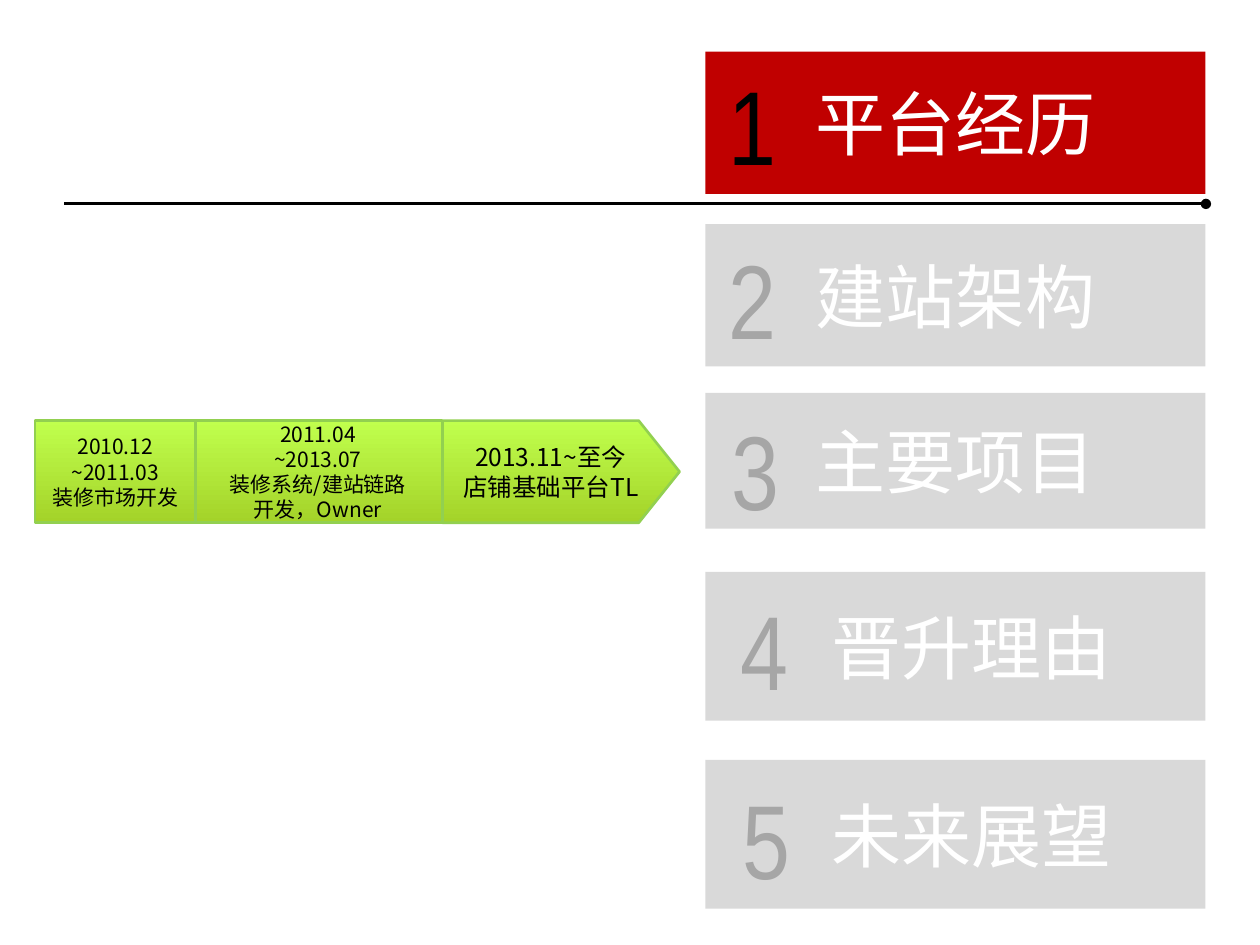
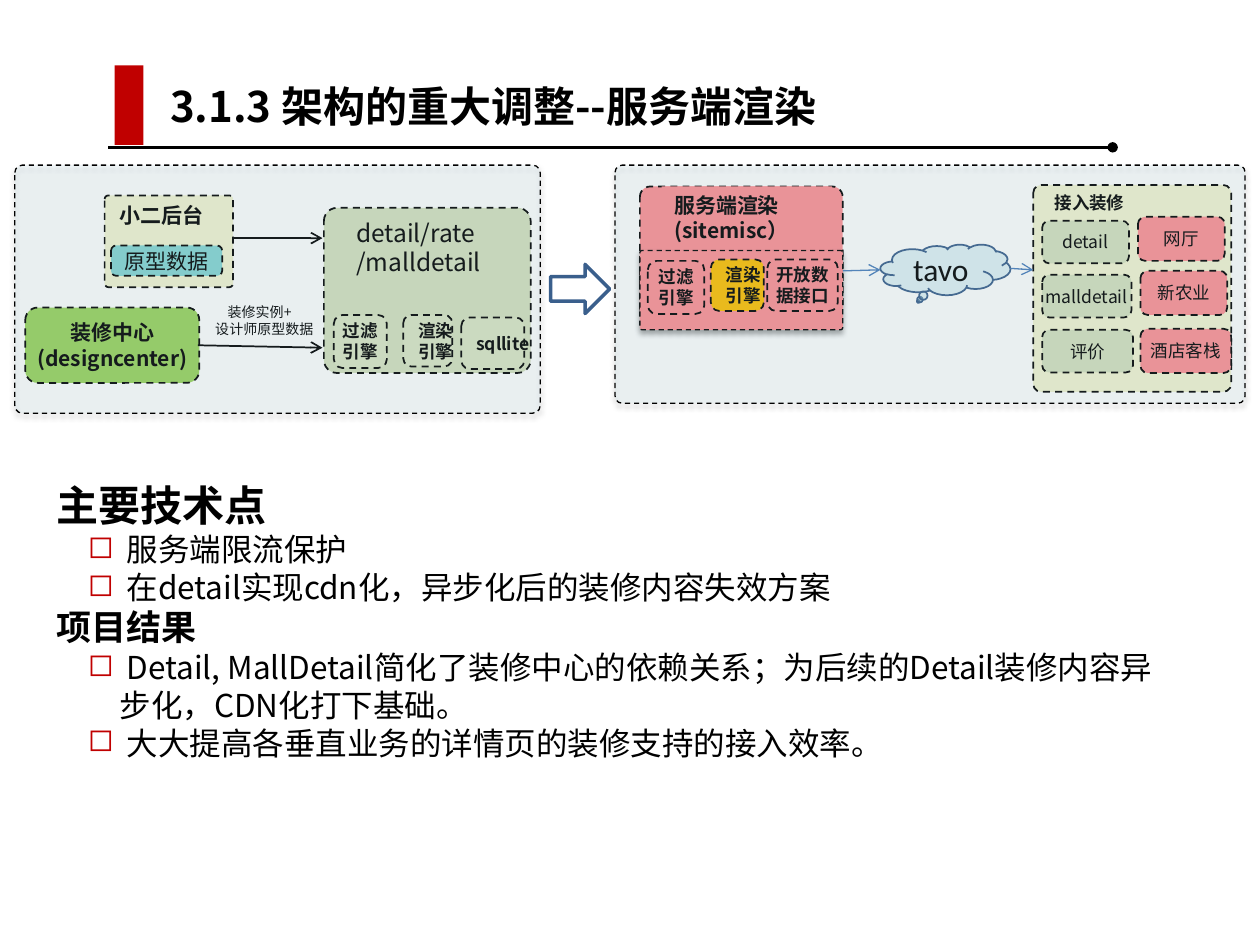
"""Build a career menu slide and a server-side rendering architecture slide."""
from dataclasses import dataclass
from typing import NamedTuple, Optional

from lxml.etree import SubElement as Sub
from pptx import Presentation
from pptx.dml.color import RGBColor
from pptx.enum.dml import MSO_LINE_DASH_STYLE as Dash
from pptx.enum.shapes import MSO_CONNECTOR as Link, MSO_SHAPE as Form
from pptx.enum.text import MSO_ANCHOR as Anchor, PP_ALIGN as Align
from pptx.oxml.ns import qn
from pptx.util import Cm, Pt

BLACK = RGBColor(0x00, 0x00, 0x00)
WHITE = RGBColor(0xFF, 0xFF, 0xFF)
RED = RGBColor(0xC0, 0x00, 0x00)
GREY = RGBColor(0xD9, 0xD9, 0xD9)
DIM = RGBColor(0xA6, 0xA6, 0xA6)
LIME = RGBColor(0xC0, 0xFF, 0x4D)
OLIVE = RGBColor(0xA4, 0xD3, 0x29)
LEAF = RGBColor(0x92, 0xD0, 0x50)
GREEN = RGBColor(0x9B, 0xD4, 0x5E)
SAGE = RGBColor(0xD6, 0xE1, 0xBF)
MOSS = RGBColor(0xDC, 0xE6, 0xC5)
CREAM = RGBColor(0xF4, 0xF5, 0xD2)
TEAL = RGBColor(0x86, 0xD6, 0xD3)
PINK = RGBColor(0xFF, 0x91, 0x96)
GOLD = RGBColor(0xFF, 0xC0, 0x00)
ICE = RGBColor(0xA6, 0xD6, 0xE2)
NAVY = RGBColor(0x3A, 0x5F, 0x8C)
BLUE = RGBColor(0x4B, 0x7E, 0xBC)

NOTO = "Noto Sans CJK SC"
CALI = "Calibri"
SLIM = "Arial Narrow"


class Type(NamedTuple):
    size: float
    bold: bool = False
    color: RGBColor = BLACK
    font: str = NOTO
    align: Align = Align.CENTER
    anchor: Anchor = Anchor.MIDDLE
    wrap: bool = True


class Look(NamedTuple):
    fill: Optional[RGBColor] = None
    line: Optional[RGBColor] = None
    width: float = 1
    dash: bool = False
    alpha: int = 100
    glow: bool = False
    fade: Optional[RGBColor] = None


@dataclass(frozen=True)
class Box:
    x: float
    y: float
    w: float
    h: float
    look: Optional[Look] = None
    text: str = ""
    type: Optional[Type] = None
    form: Form = Form.ROUNDED_RECTANGLE
    bend: Optional[float] = None
    inset: float = 0.25


@dataclass(frozen=True)
class Wire:
    x: float
    y: float
    to_x: float
    to_y: float
    color: RGBColor = BLACK
    width: float = 1
    tip: str = "arrow"


@dataclass(frozen=True)
class Item:
    text: str
    y: float
    h: float
    num_x: float
    num_y: float
    inset: float = 0.25


@dataclass(frozen=True)
class Point:
    text: str
    size: float
    head: bool = False


def apply(target, values: dict) -> None:
    """Set every named value on the target."""
    for name, value in values.items():
        setattr(target, name, value)


def add_line(para, text: str, kind: Type) -> None:
    """Put one formatted run into a paragraph."""
    para.alignment = kind.align
    if kind.font == NOTO:
        para.line_spacing = Pt(round(kind.size * 1.2, 1))
    run = para.add_run()
    run.text = text
    apply(run.font, dict(name=kind.font, size=Pt(kind.size), bold=kind.bold))
    run.font.color.rgb = kind.color
    Sub(run.font._element, qn("a:ea"), typeface=NOTO)


def write(shape, text: str, kind: Type, inset: float = 0.25) -> None:
    """Fill a text frame, one paragraph for each line."""
    frame = shape.text_frame
    apply(frame, dict(word_wrap=kind.wrap, vertical_anchor=kind.anchor,
                      margin_left=Cm(inset)))
    for i, line in enumerate(text.split("\n")):
        add_line(frame.add_paragraph() if i else frame.paragraphs[0], line, kind)


def paint(shape, look: Look) -> None:
    """Give a shape its fill, outline and shadow."""
    shape.shadow.inherit = False
    props = shape.element.spPr
    if look.fade:
        shape.fill.gradient()
        shape.fill.gradient_angle = 270
        for stop, color in zip(shape.fill.gradient_stops, (look.fill, look.fade)):
            stop.color.rgb = color
    elif look.fill:
        shape.fill.solid()
        shape.fill.fore_color.rgb = look.fill
        if look.alpha < 100:
            Sub(props.find(qn("a:solidFill"))[0], qn("a:alpha"), val=str(look.alpha * 1000))
    else:
        shape.fill.background()
    if look.line:
        shape.line.color.rgb = look.line
        shape.line.width = Pt(look.width)
        if look.dash:
            shape.line.dash_style = Dash.DASH
    else:
        shape.line.fill.background()
    if look.glow:
        shade = Sub(props.find(qn("a:effectLst")), qn("a:outerShdw"), blurRad="40000",
                    dist="23000", dir="5400000", rotWithShape="0")
        Sub(Sub(shade, qn("a:srgbClr"), val=str(BLACK)), qn("a:alpha"), val="35000")


def draw(slide, box: Box):
    """Draw a box, as a plain text box when it has no look."""
    area = [Cm(v) for v in (box.x, box.y, box.w, box.h)]
    if box.look:
        shape = slide.shapes.add_shape(box.form, *area)
        paint(shape, box.look)
        if box.bend is not None:
            shape.adjustments[0] = box.bend
    else:
        shape = slide.shapes.add_textbox(*area)
    if box.text:
        write(shape, box.text, box.type, box.inset)
    return shape


def join(slide, wire: Wire) -> None:
    """Draw a straight line with an end mark."""
    ends = [Cm(v) for v in (wire.x, wire.y, wire.to_x, wire.to_y)]
    line = slide.shapes.add_connector(Link.STRAIGHT, *ends)
    line.line.color.rgb = wire.color
    line.line.width = Pt(wire.width)
    props = line.element.spPr
    Sub(props.find(qn("a:ln")), qn("a:tailEnd"), type=wire.tip)
    Sub(props, qn("a:effectLst"))


def rule(slide, x: float, y: float, to_x: float) -> None:
    """Draw the black rule that ends in a dot."""
    join(slide, Wire(x, y, to_x, y, width=1.75, tip="oval"))


def menu(slide) -> None:
    """Draw the numbered menu with its first entry active."""
    items = (
        Item("平台经历", 1.04, 2.87, 14.43, 1.09),
        Item("建站架构", 4.52, 2.87, 14.43, 4.6),
        Item("主要项目", 7.92, 2.74, 14.5, 8.05),
        Item("晋升理由", 11.53, 3, 14.68, 11.68, 0.9),
        Item("未来展望", 15.32, 3, 14.71, 15.49, 0.9),
    )
    label = Type(40, color=WHITE, font=CALI)
    for i, item in enumerate(items, 1):
        digit = Type(60, False, BLACK if i == 1 else DIM, SLIM, Align.LEFT, Anchor.TOP)
        draw(slide, Box(14.22, item.y, 10.08, item.h, Look(RED if i == 1 else GREY),
                        item.text, label, Form.RECTANGLE, inset=item.inset))
        draw(slide, Box(item.num_x, item.num_y, 1.73, 2.82, None, str(i), digit))
    rule(slide, 1.3, 4.11, 24.31)


def steps(slide) -> None:
    """Draw the green career band."""
    band = Look(LIME, LEAF, 1.5, fade=OLIVE)
    small, big = Type(12), Type(14)
    for box in (
        Box(3.91, 8.48, 5, 2.06, band, "2011.04\n~2013.07\n装修系统/建站链路\n开发，Owner",
            small, Form.RECTANGLE),
        Box(0.71, 8.48, 3.23, 2.06, band, "2010.12\n~2011.03\n装修市场开发",
            small, Form.RECTANGLE),
        Box(8.92, 8.48, 4.78, 2.06, band, "2013.11~至今\n店铺基础平台TL",
            big, Form.PENTAGON, 0.4),
    ):
        draw(slide, box)


def title(slide, text: str) -> None:
    """Draw the title with its red bar and rule."""
    rule(slide, 2.18, 2.97, 22.43)
    draw(slide, Box(2.31, 1.32, 0.58, 1.6, Look(RED), form=Form.RECTANGLE))
    draw(slide, Box(3.18, 1.5, 18.72, 1.27, None, text, Type(24, True, align=Align.LEFT)))


def notes(slide) -> None:
    """Write the headings and their bulleted points."""
    points = (
        Point("主要技术点", 24, True),
        Point(" 服务端限流保护", 18),
        Point(" 在detail实现cdn化，异步化后的装修内容失效方案", 18),
        Point("项目结果", 20, True),
        Point(" Detail, MallDetail简化了装修中心的依赖关系；为后续的Detail装修内容异步化，CDN化打下基础。", 18),
        Point(" 大大提高各垂直业务的详情页的装修支持的接入效率。", 18),
    )
    frame = draw(slide, Box(0.89, 9.55, 23.19, 6.58)).text_frame
    frame.word_wrap = True
    for i, point in enumerate(points):
        para = frame.add_paragraph() if i else frame.paragraphs[0]
        add_line(para, point.text, Type(point.size, point.head, align=Align.LEFT))
        if not point.head:
            props = para._p.get_or_add_pPr()
            apply_to = dict(marL=Cm(1.27), indent=Cm(-0.64))
            for name, value in apply_to.items():
                props.set(name, str(int(value)))
            Sub(Sub(props, qn("a:buClr")), qn("a:srgbClr"), val=str(RED))
            Sub(props, qn("a:buChar"), char="◻")


def dashed(fill: RGBColor) -> Look:
    """Give the look of a dashed module."""
    return Look(fill, BLACK, 1, True)


def chart(slide) -> None:
    """Draw the architecture before and after the change."""
    panel = Look(ICE, BLACK, 0.75, True, 13, True)
    tag = Type(10, wrap=False)
    bold = tag._replace(bold=True)
    just = bold._replace(align=Align.JUSTIFY)
    name = Type(12, True, align=Align.LEFT)
    top = Type(14, align=Align.LEFT, anchor=Anchor.TOP)
    before = (
        Box(0.51, 6.2, 3.51, 1.52, dashed(GREEN), "装修中心\n(designcenter)",
            Type(12, True, wrap=False)),
        Box(6.53, 4.19, 4.17, 3.33, dashed(SAGE), bend=0.08),
        Box(6.73, 6.35, 1.07, 1.07, dashed(MOSS), "过滤\n引擎", bold),
        Box(8.13, 6.35, 0.99, 1.04, dashed(MOSS), "渲染\n引擎", just),
        Box(6.93, 4.27, 3.25, 1.45, None, "detail/rate\n/malldetail", top),
        Box(2.11, 3.94, 2.59, 1.85, dashed(CREAM), bend=0.04),
        Box(2.16, 3.96, 2.59, 0.76, None, "小二后台", name),
        Box(2.24, 4.95, 2.24, 0.61, dashed(TEAL), "原型数据", Type(12, wrap=False)),
        Box(9.3, 6.4, 1.27, 1.04, dashed(MOSS), "sqllite", just),
        Wire(4.7, 4.8, 6.5, 4.8),
        Wire(3.99, 6.96, 6.5, 7.01),
        Box(0.3, 3.33, 10.59, 5, panel, bend=0.03),
    )
    after = (
        Box(11.1, 5.33, 1.19, 0.99, Look(None, NAVY, 2), form=Form.RIGHT_ARROW),
        Box(17.75, 4.93, 2.62, 1.02, Look(ICE, NAVY, alpha=33), "tavo",
            Type(18, font=CALI, wrap=False), Form.CLOUD_CALLOUT),
        Box(12.9, 3.76, 4.09, 2.64, dashed(PINK), bend=0.08),
        Box(12.9, 5.05, 4.09, 1.6, Look(PINK, BLACK, 0.75, True, glow=True), bend=0.03),
        Box(13.06, 5.26, 1.14, 1.07, dashed(PINK), "过滤\n引擎", bold),
        Box(14.33, 5.23, 1.07, 1.04, dashed(GOLD), "渲染\n引擎", just),
        Box(15.47, 5.23, 1.42, 1.04, dashed(PINK), "开放数\n据接口", bold),
        Box(13.34, 3.76, 3.43, 1.27, Look(PINK), "服务端渲染\n(sitemisc）",
            name._replace(anchor=Anchor.TOP), Form.RECTANGLE),
        Box(20.83, 3.73, 3.99, 4.17, dashed(CREAM), bend=0.04),
        Box(21.01, 3.73, 1.93, 0.69, None, "接入装修", name._replace(size=10, wrap=False)),
        Box(21.01, 4.45, 1.75, 0.86, dashed(SAGE), "detail", tag),
        Box(21.01, 5.54, 1.8, 0.86, dashed(SAGE), "malldetail", tag),
        Box(21.01, 6.65, 1.83, 0.86, dashed(SAGE), "评价", tag),
        Box(22.99, 6.63, 1.83, 0.89, dashed(PINK), "酒店客栈", tag),
        Box(22.99, 5.46, 1.75, 0.89, dashed(PINK), "新农业", tag),
        Wire(20.37, 5.41, 20.83, 5.44, BLUE, 0.75),
        Wire(16.99, 5.46, 17.75, 5.44, BLUE, 0.75),
        Box(22.94, 4.37, 1.75, 0.89, dashed(PINK), "网厅", tag),
        Box(12.4, 3.33, 12.7, 4.8, panel, bend=0.03),
    )
    hint = draw(slide, Box(4.09, 5.99, 2.59, 0.94, None, "装修实例+\n设计师原型数据",
                           top._replace(size=8)))
    hint.text_frame.paragraphs[0]._p.get_or_add_pPr().set("marL", str(int(Cm(0.25))))
    for part in before + after:
        (join if isinstance(part, Wire) else draw)(slide, part)


def main() -> None:
    """Build and save the deck."""
    deck = Presentation()
    apply(deck, dict(slide_width=Cm(25.4), slide_height=Cm(19.05)))
    first, second = (deck.slides.add_slide(deck.slide_layouts[6]) for _ in range(2))
    steps(first)
    menu(first)
    title(second, "3.1.3 架构的重大调整--服务端渲染")
    notes(second)
    chart(second)
    deck.save("out.pptx")


main()
